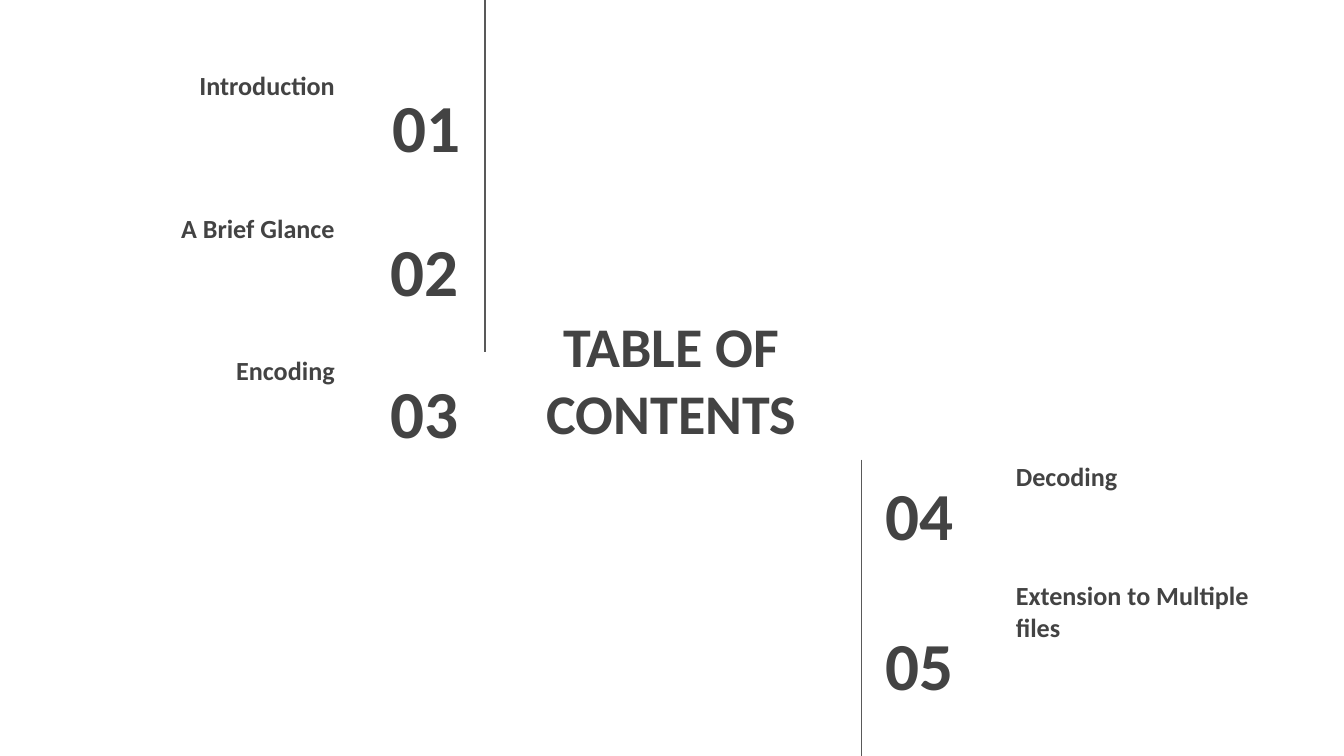
from pptx import Presentation
from pptx.dml.color import RGBColor
from pptx.enum.shapes import MSO_CONNECTOR as CONN
from pptx.enum.text import MSO_ANCHOR as ANCHOR, MSO_AUTO_SIZE as FIT, PP_ALIGN as ALIGN
from pptx.util import Pt
from lxml.etree import SubElement
from pptx.oxml.ns import qn

WIDTH, HEIGHT = 720, 405
INK, RULE = "434343", "595959"
LEFT_ITEMS = [
    ("01", "Introduction", 167, 44.6, 15.8),
    ("02", "A Brief Glance", 165.6, 121.7, 92.2),
    ("03", "Encoding", 165.6, 198, 168.5),
]
RIGHT_ITEMS = [
    ("04", "Decoding", 467.3, 252.7, 225.4),
    ("05", "Extension to Multiple files", 467.3, 332.6, 306),
]


def color(hex_code):
    """Turn a hex string into a colour."""
    return RGBColor.from_string(hex_code)


def write(s, text, size, align, anchor):
    """Fill a shape with one bold paragraph."""
    tf = s.text_frame
    tf.word_wrap = True
    tf.auto_size = FIT.NONE
    tf.vertical_anchor = anchor
    tf.margin_left = tf.margin_right = tf.margin_top = tf.margin_bottom = Pt(7.2)
    p = tf.paragraphs[0]
    p.text = text
    p.alignment = align
    p.font.name = "Calibri"
    p.font.size = Pt(size)
    p.font.bold = True
    p.font.color.rgb = color(INK)


def add_title(sp, text):
    """Place and format the title placeholder."""
    s = sp.title
    s.left, s.top, s.width, s.height = Pt(266.4), Pt(165.6), Pt(186.5), Pt(74.2)
    write(s, text, 30, ALIGN.CENTER, ANCHOR.MIDDLE)


def add_label(sp, text, x, y, w, size, align, anchor):
    """Add a text box of the common height."""
    s = sp.add_textbox(Pt(x), Pt(y), Pt(w), Pt(45.4))
    write(s, text, size, align, anchor)


def add_items(sp, items, label_x, number_w, align):
    """Add the numbers and labels of one side."""
    for number, label, number_x, number_y, label_y in items:
        add_label(sp, number, number_x, number_y, number_w, 36, align, ANCHOR.MIDDLE)
        add_label(sp, label, label_x, label_y, 155.5, 14, align, ANCHOR.BOTTOM)


def add_rule(sp, x, top, bottom):
    """Add a thin vertical line."""
    s = sp.add_connector(CONN.STRAIGHT, Pt(x), Pt(top), Pt(x), Pt(bottom))
    s.line.color.rgb = color(RULE)
    s.line.width = Pt(0.75)
    SubElement(s._element.spPr, qn("a:effectLst"))


def main():
    """Build and save the contents slide."""
    prs = Presentation()
    prs.slide_width, prs.slide_height = Pt(WIDTH), Pt(HEIGHT)
    sp = prs.slides.add_slide(prs.slide_layouts[5]).shapes
    add_title(sp, "TABLE OF CONTENTS")
    add_items(sp, LEFT_ITEMS, 31, 87.1, ALIGN.RIGHT)
    add_items(sp, RIGHT_ITEMS, 537.1, 84.2, ALIGN.LEFT)
    add_rule(sp, 259.9, 0, 188.6)
    add_rule(sp, 461.5, 246.2, HEIGHT)
    prs.save("out.pptx")


if __name__ == "__main__":
    main()
